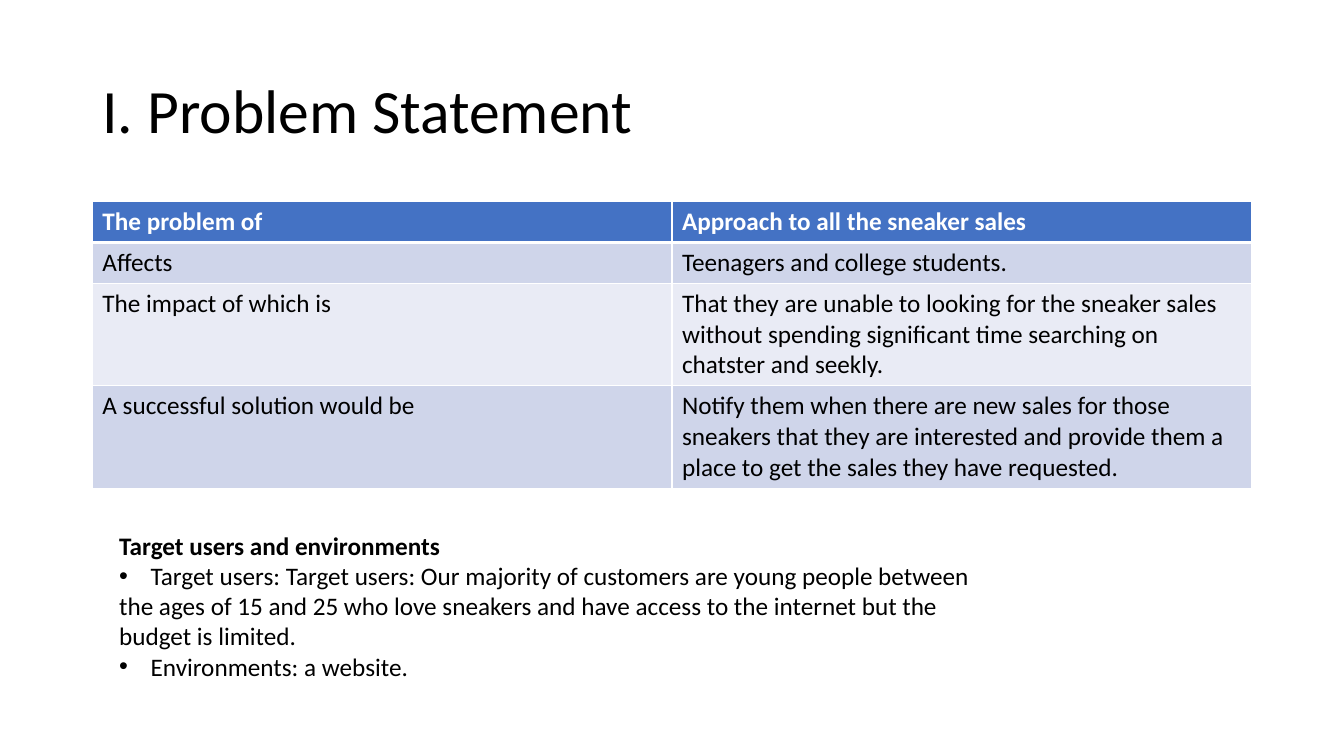
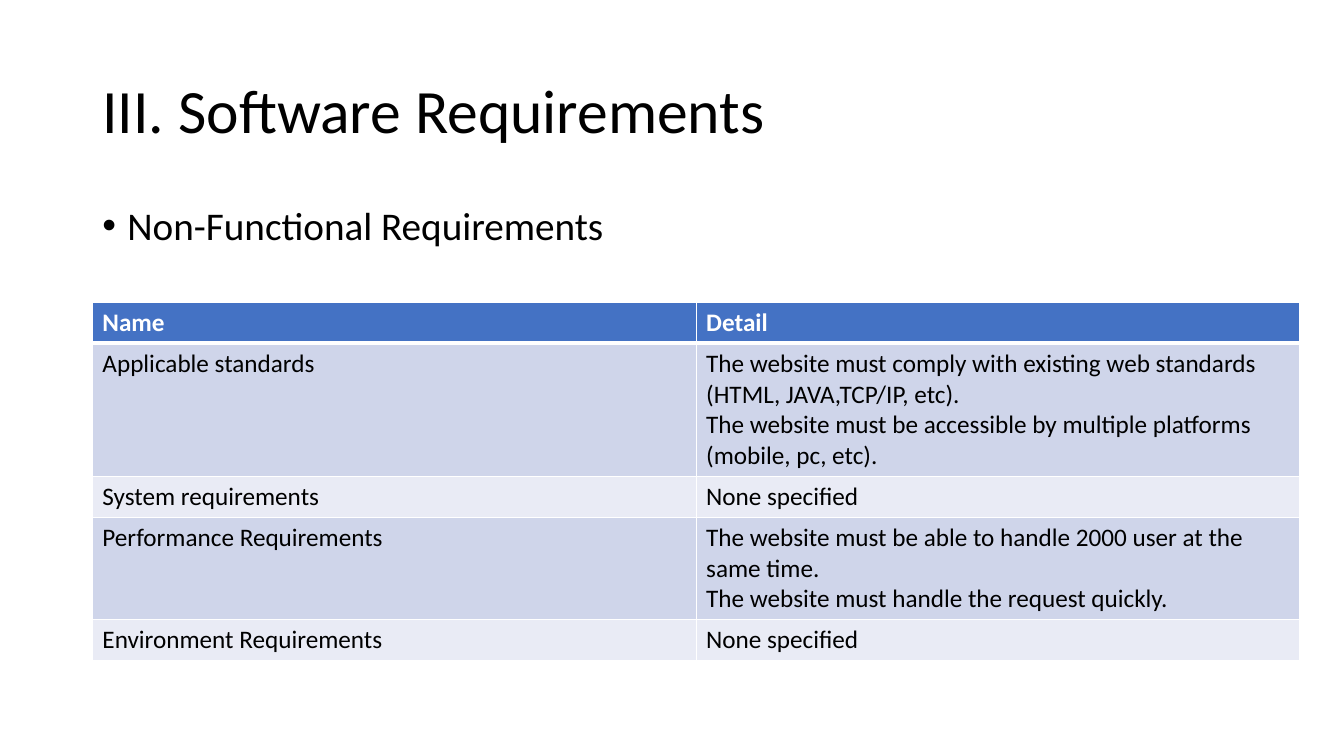
from dataclasses import dataclass

from lxml.etree import SubElement
from pptx import Presentation
from pptx.dml.color import RGBColor as Rgb
from pptx.enum.text import MSO_ANCHOR as Anchor, MSO_AUTO_SIZE as AutoSize, PP_ALIGN as Align
from pptx.oxml.ns import qn
from pptx.util import Pt


@dataclass(frozen=True)
class Theme:
    """Colours, type sizes and shared measures, in points."""
    font: str = "Calibri"
    ink: str = "000000"
    paper: str = "FFFFFF"
    header: str = "4472C4"
    bands: tuple = ("CFD5EA", "E9EBF5")
    title_size: int = 44
    lead_size: int = 28
    text_size: int = 18
    left: int = 66
    width: int = 828
    line_pitch: int = 22
    cell_padding: float = 7.2
    grid_line: int = 1
    header_line: int = 3


THEME = Theme()

PROBLEM = [
    ("The problem of", "Approach to all the sneaker sales"),
    ("Affects", "Teenagers and college students."),
    ("The impact of which is",
     "That they are unable to looking for the sneaker sales without spending "
     "significant time searching on chatster and seekly."),
    ("A successful solution would be",
     "Notify them when there are new sales for those sneakers that they are interested "
     "and provide them a place to get the sales they have requested."),
]
REQUIREMENTS = [
    ("Name", "Detail"),
    ("Applicable standards",
     "The website must comply with existing web standards (HTML, JAVA,TCP/IP, etc).\n"
     "The website must be accessible by multiple platforms (mobile, pc, etc)."),
    ("System requirements", "None specified"),
    ("Performance Requirements",
     "The website must be able to handle 2000 user at the same time.\n"
     "The website must handle the request quickly."),
    ("Environment Requirements", "None specified"),
]
AUDIENCE = [
    ("Target users: Target users: Our majority of customers are young people between", True),
    ("the ages of 15 and 25 who love sneakers and have access to the internet but the", False),
    ("budget is limited.", False),
    ("Environments: a website.", True),
]


def style(paragraph, size, color=THEME.ink, bold=False):
    """Set the font of a whole paragraph."""
    font = paragraph.font
    font.name, font.size, font.bold = THEME.font, Pt(size), bold
    font.color.rgb = Rgb.from_string(color)


def add_bullet(paragraph, indent):
    """Give a paragraph a hanging bullet."""
    props = paragraph._p.get_or_add_pPr()
    props.set("marL", str(Pt(indent)))
    props.set("indent", str(-Pt(indent)))
    SubElement(props, qn("a:buFont"), typeface="Arial")
    SubElement(props, qn("a:buChar"), char="•")


def add_titled_slide(deck, heading):
    """Add a title-only slide with its heading."""
    slide = deck.slides.add_slide(deck.slide_layouts[5])
    title = slide.shapes.title
    title.left, title.top = Pt(THEME.left), Pt(29)
    title.width, title.height = Pt(THEME.width), Pt(104)
    frame = title.text_frame
    frame.text = heading
    frame.auto_size, frame.vertical_anchor = AutoSize.NONE, Anchor.MIDDLE
    paragraph = frame.paragraphs[0]
    paragraph.alignment, paragraph.line_spacing = Align.LEFT, 0.9
    style(paragraph, THEME.title_size)
    return slide


def add_text_frame(slide, left, top, width, height):
    """Add a wrapping text box and return its frame."""
    frame = slide.shapes.add_textbox(Pt(left), Pt(top), Pt(width), Pt(height)).text_frame
    frame.word_wrap = True
    return frame


def add_borders(cell, **widths):
    """Draw white borders on the four sides of a cell."""
    props = cell._tc.get_or_add_tcPr()
    for side in "LRTB":
        width = widths.get(side, THEME.grid_line)
        line = SubElement(props, qn(f"a:ln{side}"), w=str(Pt(width)))
        SubElement(SubElement(line, qn("a:solidFill")), qn("a:srgbClr"), val=THEME.paper)


def format_cell(cell, text, row):
    """Fill in one cell as header or banded body."""
    is_header = row == 0
    cell.text = text
    add_borders(cell,
                T=THEME.header_line if row == 1 else THEME.grid_line,
                B=THEME.header_line if is_header else THEME.grid_line)
    cell.fill.solid()
    fill = THEME.header if is_header else THEME.bands[(row - 1) % 2]
    cell.fill.fore_color.rgb = Rgb.from_string(fill)
    for paragraph in cell.text_frame.paragraphs:
        style(paragraph, THEME.text_size, THEME.paper if is_header else THEME.ink, is_header)


def add_banded_table(slide, entries, line_counts, top, width):
    """Add a two-column table whose rows fit their line counts."""
    heights = [count * THEME.line_pitch + THEME.cell_padding for count in line_counts]
    table = slide.shapes.add_table(len(entries), 2, Pt(THEME.left), Pt(top),
                                   Pt(width), Pt(sum(heights))).table
    for row, (entry, height) in enumerate(zip(entries, heights)):
        table.rows[row].height = Pt(height)
        for column, text in enumerate(entry):
            format_cell(table.cell(row, column), text, row)


def add_audience(slide):
    """Add the notes on target users and environments."""
    frame = add_text_frame(slide, 78, 375, 804, 117)
    heading = frame.paragraphs[0]
    heading.text = "Target users and environments"
    style(heading, THEME.text_size, bold=True)
    for text, bulleted in AUDIENCE:
        paragraph = frame.add_paragraph()
        paragraph.text = text
        if bulleted:
            add_bullet(paragraph, 22.5)
        style(paragraph, THEME.text_size)


def add_lead(slide, text):
    """Add the large bullet below the title."""
    lead = add_text_frame(slide, THEME.left, 144, THEME.width, 50).paragraphs[0]
    lead.text = text
    lead.line_spacing, lead.space_before = 0.9, Pt(10)
    add_bullet(lead, 18)
    style(lead, THEME.lead_size)


def main():
    """Build and save the deck."""
    deck = Presentation()
    deck.slide_width, deck.slide_height = Pt(960), Pt(540)

    problem = add_titled_slide(deck, "I. Problem Statement")
    add_banded_table(problem, PROBLEM, (1, 1, 3, 3), 144, THEME.width)
    add_audience(problem)

    requirements = add_titled_slide(deck, "III. Software Requirements")
    add_lead(requirements, "Non-Functional Requirements")
    add_banded_table(requirements, REQUIREMENTS, (1, 4, 1, 3, 1), 216, 862.5)

    deck.save("out.pptx")


if __name__ == "__main__":
    main()
